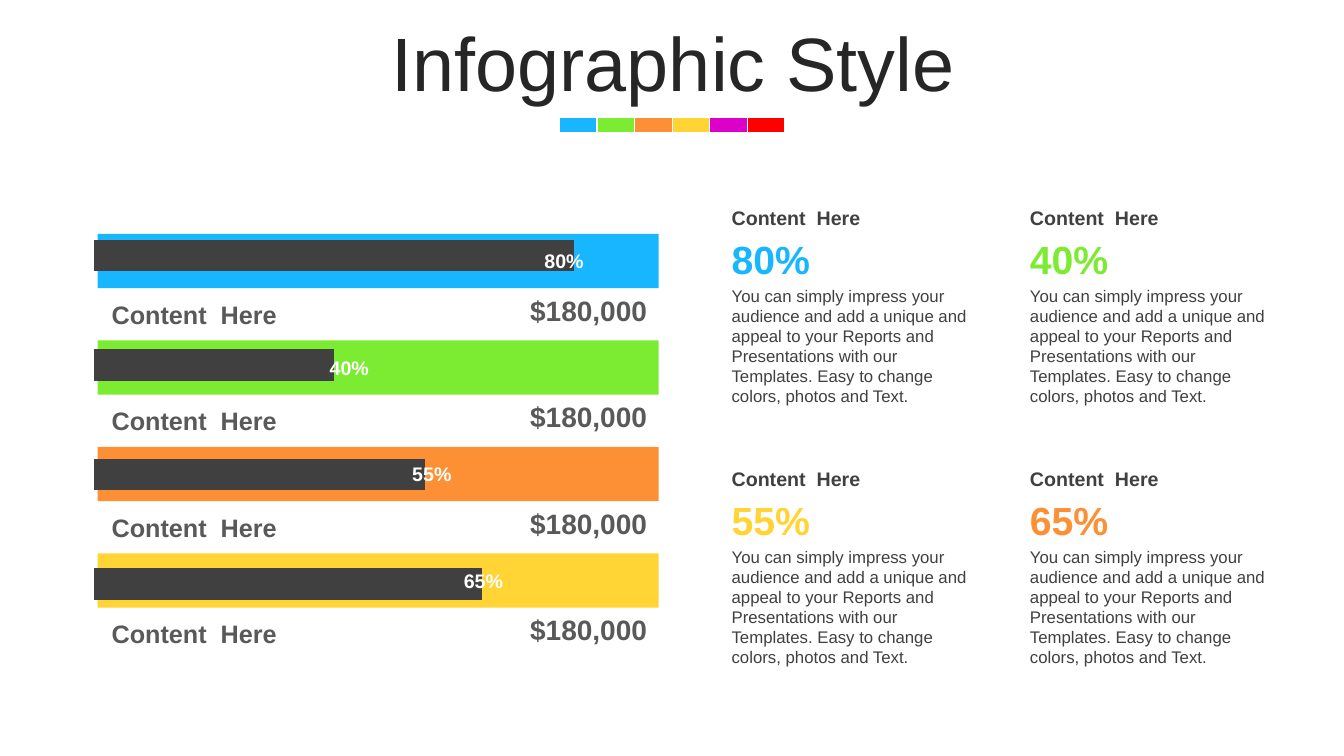
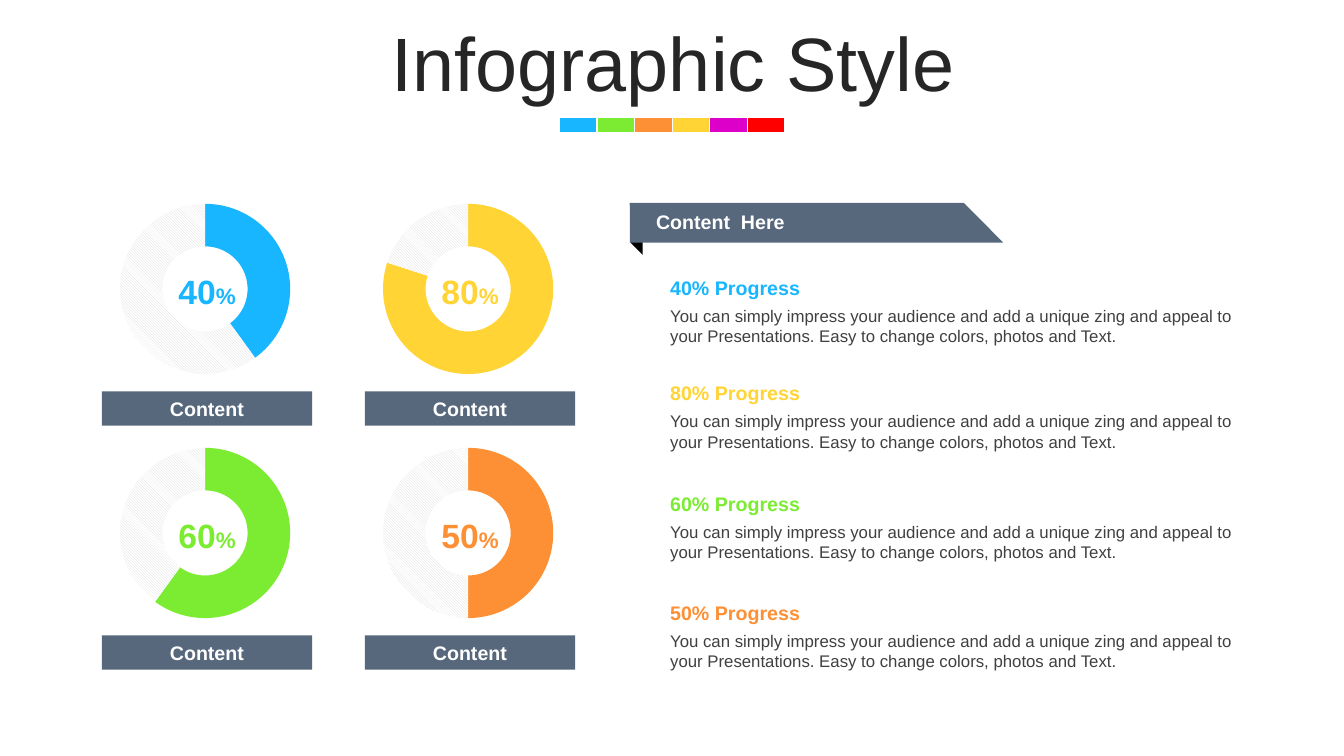
from itertools import product

from pptx import Presentation
from pptx.chart.data import CategoryChartData
from pptx.dml.color import RGBColor
from pptx.enum.chart import XL_CHART_TYPE as ChartType
from pptx.enum.dml import MSO_PATTERN
from pptx.enum.shapes import MSO_SHAPE
from pptx.enum.text import MSO_ANCHOR as Anchor, MSO_AUTO_SIZE as AutoSize, PP_ALIGN as Align
from pptx.oxml import parse_xml
from pptx.oxml.ns import nsdecls, qn
from pptx.util import Pt

FONT = "Arial"
BLUE = RGBColor(0x17, 0xB6, 0xFF)
GREEN = RGBColor(0x7C, 0xEC, 0x32)
ORANGE = RGBColor(0xFD, 0x90, 0x34)
YELLOW = RGBColor(0xFF, 0xD4, 0x34)
MAGENTA = RGBColor(0xDC, 0x00, 0xC8)
RED = RGBColor(0xFF, 0x00, 0x00)
SLATE = RGBColor(0x57, 0x68, 0x7C)
BLACK = RGBColor(0x00, 0x00, 0x00)
TITLE_GREY = RGBColor(0x26, 0x26, 0x26)
DARK = RGBColor(0x40, 0x40, 0x40)
GREY = RGBColor(0x59, 0x59, 0x59)
PALE = RGBColor(0xD9, 0xD9, 0xD9)
WHITE = RGBColor(0xFF, 0xFF, 0xFF)

TITLE = "Infographic Style"
STRIP = [BLUE, GREEN, ORANGE, YELLOW, MAGENTA, RED]
HEADING = "Content  Here"
CAPTION = "Content"
AMOUNT = "$180,000"
CARD_BODY = ("You can simply impress your audience and add a unique and appeal to your "
             "Reports and Presentations with our Templates. Easy to change colors, "
             "photos and Text.")
PROGRESS_BODY = ("You can simply impress your audience and add a unique zing and appeal to "
                 "your Presentations. Easy to change colors, photos and Text.")

# Percentage, left edge of its label, bar colour
BARS = [("80%", 376.6, BLUE), ("40%", 223.2, GREEN),
        ("55%", 282.2, ORANGE), ("65%", 319, YELLOW)]
BAR_VALUES = [81, 69, 50, 100]  # from the bottom bar to the top one
CARDS = [("80%", BLUE), ("40%", GREEN), ("55%", YELLOW), ("65%", ORANGE)]
# Percentage, colour, top of its progress text
DONUTS = [(40, BLUE, 193), (80, YELLOW, 268.5), (60, GREEN, 347.3), (50, ORANGE, 425.5)]


def points(*lengths):
    return [Pt(length) for length in lengths]


def grid(left, top, across, down):
    """Corners of a two-by-two grid, row by row."""
    return [(left + column * across, top + row * down)
            for row, column in product(range(2), repeat=2)]


def set_text(shape, runs, color, bold=True, align=Align.LEFT, anchor=Anchor.MIDDLE):
    """Write (text, size) runs as one paragraph."""
    frame = shape.text_frame
    for name, value in {"word_wrap": True, "auto_size": AutoSize.NONE,
                        "vertical_anchor": anchor}.items():
        setattr(frame, name, value)
    paragraph = frame.paragraphs[0]
    paragraph.alignment = align
    for text, size in runs:
        run = paragraph.add_run()
        run.text = text
        for name, value in {"name": FONT, "size": Pt(size), "bold": bold}.items():
            setattr(run.font, name, value)
        run.font.color.rgb = color
    return paragraph


def add_text(slide, box, text, size, color, **style):
    shape = slide.shapes.add_textbox(*points(*box))
    set_text(shape, [(text, size)], color, **style)


def paint(shape, color):
    shape.shadow.inherit = False
    shape.fill.solid()
    shape.fill.fore_color.rgb = color
    shape.line.fill.background()
    return shape


def add_rectangle(slide, box, color):
    return paint(slide.shapes.add_shape(MSO_SHAPE.RECTANGLE, *points(*box)), color)


def add_polygon(slide, corners, color):
    start, *others = [points(*corner) for corner in corners]
    builder = slide.shapes.build_freeform(*start)
    builder.add_line_segments(others, close=True)
    paint(builder.convert_to_shape(), color)


def add_chart(slide, kind, box, values, plot_box):
    """Add a one-series chart; plot_box holds fractions of the chart area."""
    data = CategoryChartData()
    data.categories = [str(number + 1) for number in range(len(values))]
    data.add_series("Series 1", values)
    chart = slide.shapes.add_chart(kind, *points(*box), data).chart
    chart.has_legend = chart.has_title = False
    chart.font.name, chart.font.size = FONT, Pt(18)
    chart.font.color.rgb = BLACK
    area = chart.element.find(".//" + qn("c:plotArea"))
    for layout in area.findall(qn("c:layout")):
        area.remove(layout)
    modes = "".join(f'<c:{axis}Mode val="edge"/>' for axis in "xy")
    sizes = "".join(f'<c:{name} val="{value}"/>' for name, value in zip("xywh", plot_box))
    area.insert(0, parse_xml(
        f'<c:layout {nsdecls("c")}><c:manualLayout><c:layoutTarget val="inner"/>'
        f'{modes}{sizes}</c:manualLayout></c:layout>'))
    return chart


def prepare_layout(presentation):
    """Place the title and put the colour strip on the shared layout."""
    layout = presentation.slide_layouts[5]
    title = layout.placeholders[0]
    title.left, title.top, title.width, title.height = points(25.2, 17.3, 911.5, 56.9)
    slide = presentation.slides.add_slide(layout)
    for index, color in enumerate(STRIP):
        block = add_rectangle(slide, (399.6 + index * 26.85, 83.5, 27, 11.5), color)
        block.line.color.rgb = WHITE
        block.line.width = Pt(1)
        layout.shapes.element.append(block.element)
    return layout, slide


def write_title(slide):
    title = slide.shapes.title
    paragraph = set_text(title, [(TITLE, 54)], TITLE_GREY, bold=False, align=Align.CENTER)
    paragraph.line_spacing = 0.9
    for side, margin in {"left": 7.2, "top": 7.2, "right": 7.2, "bottom": 3.6}.items():
        setattr(title.text_frame, f"margin_{side}", Pt(margin))


def build_bars(slide):
    write_title(slide)
    for (left, top), (percent, color) in zip(grid(515.5, 143.3, 213.1, 186.5), CARDS):
        add_text(slide, (left, top, 190, 24.5), HEADING, 14, DARK)
        add_text(slide, (left, top + 56.9, 190, 94.3), CARD_BODY, 12, DARK,
                 bold=False, anchor=Anchor.TOP)
        add_text(slide, (left, top + 20.9, 190, 41), percent, 28, color)

    tops = [167 + row * 76.1 for row in range(len(BARS))]
    for top, (_, _, color) in zip(tops, BARS):
        add_rectangle(slide, (69.7, top, 400.8, 38.8), color)

    chart = add_chart(slide, ChartType.BAR_STACKED, (59, 136.8, 403.2, 326.2),
                      BAR_VALUES, (0.02, 0.02, 0.85, 0.96))
    for axis in (chart.category_axis, chart.value_axis):
        axis.visible = axis.has_major_gridlines = False
    chart.value_axis.minimum_scale, chart.value_axis.maximum_scale = 0, 100
    plot = chart.plots[0]
    plot.gap_width, plot.overlap, plot.vary_by_categories = 250, 100, False
    fill = plot.series[0].format.fill
    fill.solid()
    fill.fore_color.rgb = DARK

    for top, (percent, left, _) in zip(tops, BARS):
        add_text(slide, (72.7, top + 43, 158.4, 21.6), HEADING, 18, GREY, anchor=Anchor.TOP)
        add_text(slide, (363.6, top + 38.5, 105.8, 31.7), AMOUNT, 20, GREY, align=Align.RIGHT)
        add_text(slide, (left, top + 7, 52.6, 24.5), percent, 14, WHITE, align=Align.CENTER)


def build_donuts(slide):
    write_title(slide)
    for (left, top), (percent, color, _) in zip(grid(85.7, 145.4, 187.9, 174.3), DONUTS):
        chart = add_chart(slide, ChartType.DOUGHNUT, (left, top, 124.6, 129.6),
                          [percent, 100 - percent], (0, 0, 0.976, 0.942))
        plot = chart.plots[0]
        plot.vary_by_categories = True
        chart.element.find(".//" + qn("c:holeSize")).set("val", "75")
        done, rest = [plot.series[0].points[index].format for index in range(2)]
        done.fill.solid()
        done.fill.fore_color.rgb = color
        rest.fill.patterned()
        rest.fill.pattern = MSO_PATTERN.LIGHT_DOWNWARD_DIAGONAL
        rest.fill.fore_color.rgb, rest.fill.back_color.rgb = PALE, WHITE
        for part in (done, rest):
            part.line.fill.background()

        label = slide.shapes.add_textbox(*points(left + 30.2, top + 44.5, 64, 36))
        set_text(label, [(str(percent), 24), ("%", 16)], color, align=Align.CENTER)
        caption = add_rectangle(slide, (left - 13, top + 134.1, 150.3, 24.5), SLATE)
        set_text(caption, [(CAPTION, 14)], WHITE, align=Align.CENTER)

    add_polygon(slide, [(459.3, 146), (450, 145), (450.5, 173.5), (459, 182)], BLACK)
    add_polygon(slide, [(450, 145), (688.5, 145), (716.6, 173.3), (450, 173.3)], SLATE)
    add_text(slide, (461.5, 146.2, 221.8, 24.5), HEADING, 14, WHITE)
    for percent, color, top in DONUTS:
        add_text(slide, (471.6, top, 416.9, 24.5), f"{percent}% Progress", 14, color)
        add_text(slide, (471.6, top + 21.6, 416.9, 36), PROGRESS_BODY, 12, DARK,
                 bold=False, anchor=Anchor.TOP)


def main():
    presentation = Presentation()
    presentation.slide_width, presentation.slide_height = points(960, 540)
    layout, first_slide = prepare_layout(presentation)
    build_bars(first_slide)
    build_donuts(presentation.slides.add_slide(layout))
    presentation.save("out.pptx")


if __name__ == "__main__":
    main()
